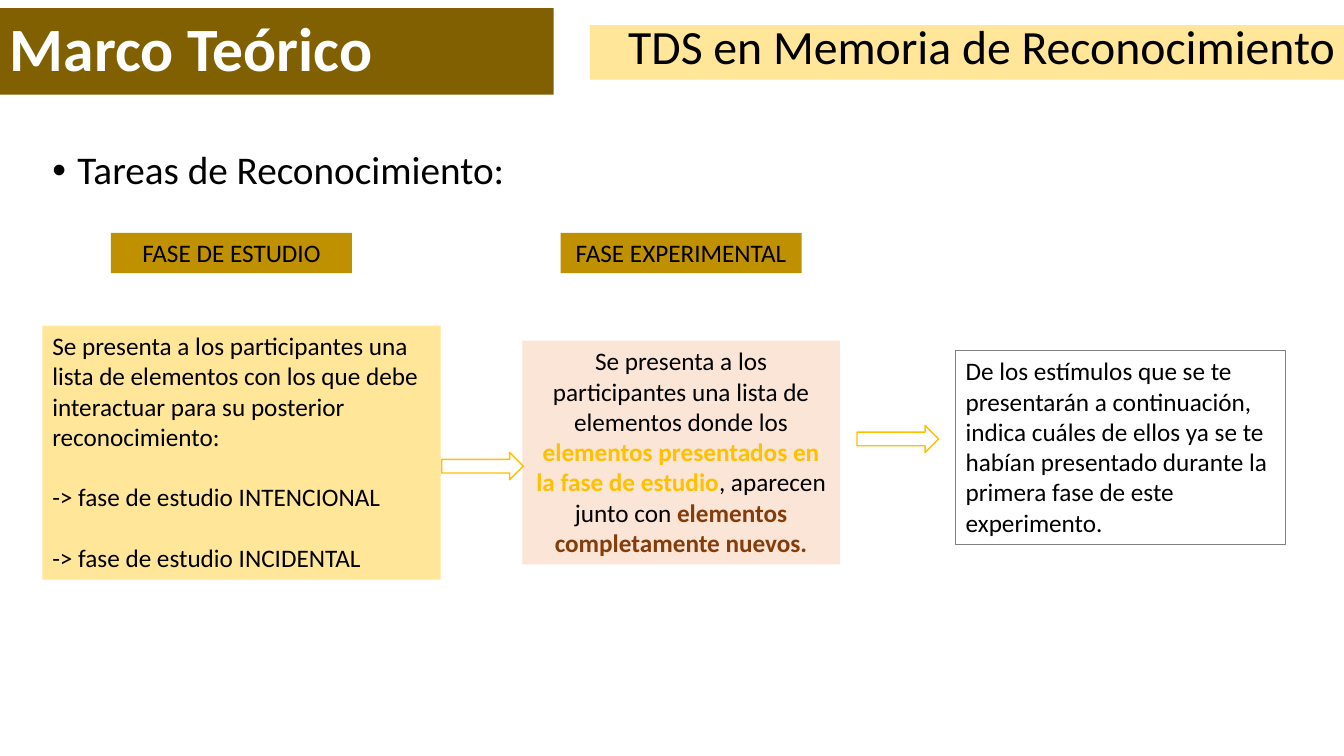
from lxml import etree
from pptx import Presentation
from pptx.dml.color import RGBColor
from pptx.enum.shapes import MSO_SHAPE
from pptx.enum.text import MSO_ANCHOR, PP_ALIGN
from pptx.oxml.ns import qn
from pptx.util import Emu, Pt

PX = 9144
FONT = "Calibri"
RECTANGLE, ARROW = MSO_SHAPE.RECTANGLE, MSO_SHAPE.RIGHT_ARROW
TOP, MIDDLE = MSO_ANCHOR.TOP, MSO_ANCHOR.MIDDLE
LEFT, CENTER, RIGHT = PP_ALIGN.LEFT, PP_ALIGN.CENTER, PP_ALIGN.RIGHT
BLACK, WHITE, GRAY = "000000", "FFFFFF", "808080"
BROWN, OCHRE, GOLD, CREAM = "806000", "BF9000", "FFC000", "FFE699"
PEACH, RUST = "FBE5D6", "843C0B"


def px(length):
    return Emu(length * PX)


def color(value):
    return RGBColor.from_string(value)


def set_all(target, values):
    for name, value in values.items():
        setattr(target, name, value)


def add_shape(page, box, kind=RECTANGLE, fill=None, line=None, width=1):
    shape = page.shapes.add_shape(kind, *map(px, box))
    shape.shadow.inherit = False
    if fill:
        shape.fill.solid()
        shape.fill.fore_color.rgb = color(fill)
    else:
        shape.fill.background()
    if line:
        shape.line.color.rgb = color(line)
        shape.line.width = Pt(width)
    else:
        shape.line.fill.background()
    return shape


def add_spans(para, spans, size):
    for text, shade, bold in spans:
        span = para.add_run()
        span.text = text
        set_all(span.font, {"name": FONT, "size": Pt(size), "bold": bold})
        span.font.color.rgb = color(shade)


def write(shape, paras, size=18, anchor=TOP, gap=0, **layout):
    frame = shape.text_frame
    set_all(frame, {"word_wrap": True, "vertical_anchor": anchor})
    for index, spans in enumerate(paras):
        para = frame.add_paragraph() if index else frame.paragraphs[0]
        set_all(para, {"alignment": LEFT, **layout})
        if index:
            para.space_before = Pt(gap)
        add_spans(para, spans, size)
    return frame


def plain(text, shade=BLACK, bold=False):
    return [(text, shade, bold)]


def add_header(page, left, top, width, height):
    title = add_shape(page, (left, top, 549, height), fill=BROWN)
    write(title, [plain("Marco Teórico", WHITE, True)], 44, MIDDLE, line_spacing=0.9)
    topic = add_shape(page, (left + 585, top + 17, width - 585, 54), fill=CREAM)
    write(topic, [plain("TDS en Memoria de Reconocimiento")], 34.1, MIDDLE,
          alignment=RIGHT, line_spacing=0.7)


def add_body(page, box):
    body = page.shapes.add_textbox(*map(px, box))
    frame = write(body, [], 28)
    para = frame.paragraphs[0]
    properties = para._p.get_or_add_pPr()
    properties.set("marL", str(px(25)))
    properties.set("indent", str(-px(25)))
    etree.SubElement(properties, qn("a:buFont")).set("typeface", "Arial")
    etree.SubElement(properties, qn("a:buChar")).set("char", "•")
    para.line_spacing = 0.9
    add_spans(para, plain("Tareas de Reconocimiento:"), 28)


def add_phase_names(page, left, top):
    for index, name in enumerate(("FASE DE ESTUDIO", "FASE EXPERIMENTAL")):
        label = add_shape(page, (left + index * 446, top, 239, 40), fill=OCHRE)
        write(label, [plain(name)], alignment=CENTER)


def add_flow(page, left, top):
    study = add_shape(page, (left, top, 395, 252), fill=CREAM)
    write(study, [
        plain("Se presenta a los participantes una lista de elementos con los que "
              "debe interactuar para su posterior reconocimiento:"),
        plain("-> fase de estudio INTENCIONAL"),
        plain("-> fase de estudio INCIDENTAL"),
    ], gap=21.6)

    test = add_shape(page, (left + 476, top + 15, 315, 222), fill=PEACH)
    write(test, [[
        ("Se presenta a los participantes una lista de elementos donde los ", BLACK, False),
        ("elementos presentados en la fase de estudio", GOLD, True),
        (", aparecen junto con ", BLACK, False),
        ("elementos completamente nuevos.", RUST, True),
    ]], alignment=CENTER)

    prompt = add_shape(page, (left + 906, top + 25, 327, 192), line=GRAY, width=0.75)
    write(prompt, [plain(
        "De los estímulos que se te presentarán a continuación, indica cuáles de "
        "ellos ya se te habían presentado durante la primera fase de este experimento.")])

    for across, down in ((396, 126), (808, 99)):
        add_shape(page, (left + across, top + down, 81, 27), ARROW, WHITE, GOLD)


def main():
    deck = Presentation()
    set_all(deck, {"slide_width": px(1333), "slide_height": px(750)})
    page = deck.slides.add_slide(deck.slide_layouts[6])
    add_body(page, (42, 145, 1199, 530))
    add_header(page, 0, 8, 1334, 86)
    add_phase_names(page, 110, 231)
    add_flow(page, 42, 323)
    deck.save("out.pptx")


if __name__ == "__main__":
    main()
